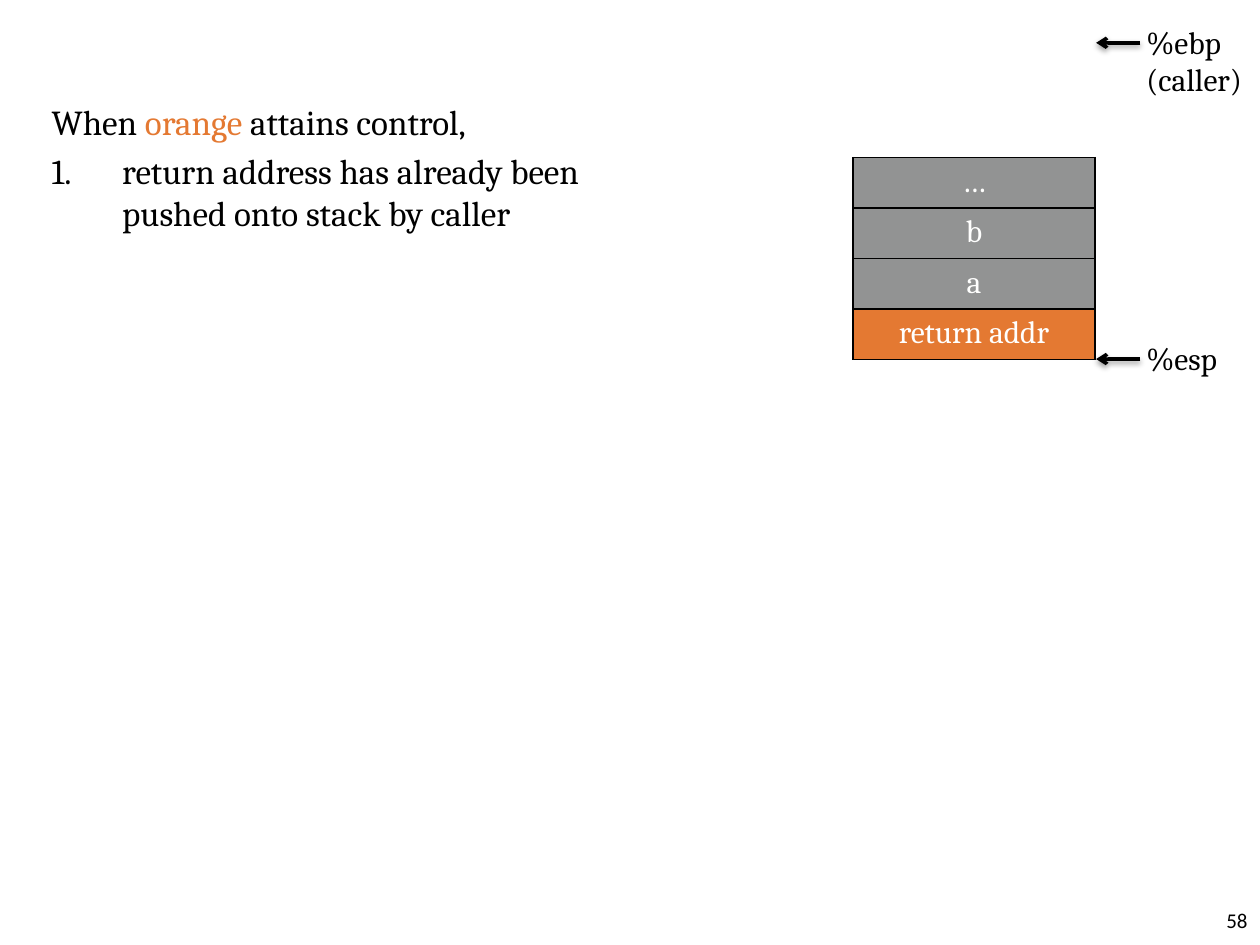
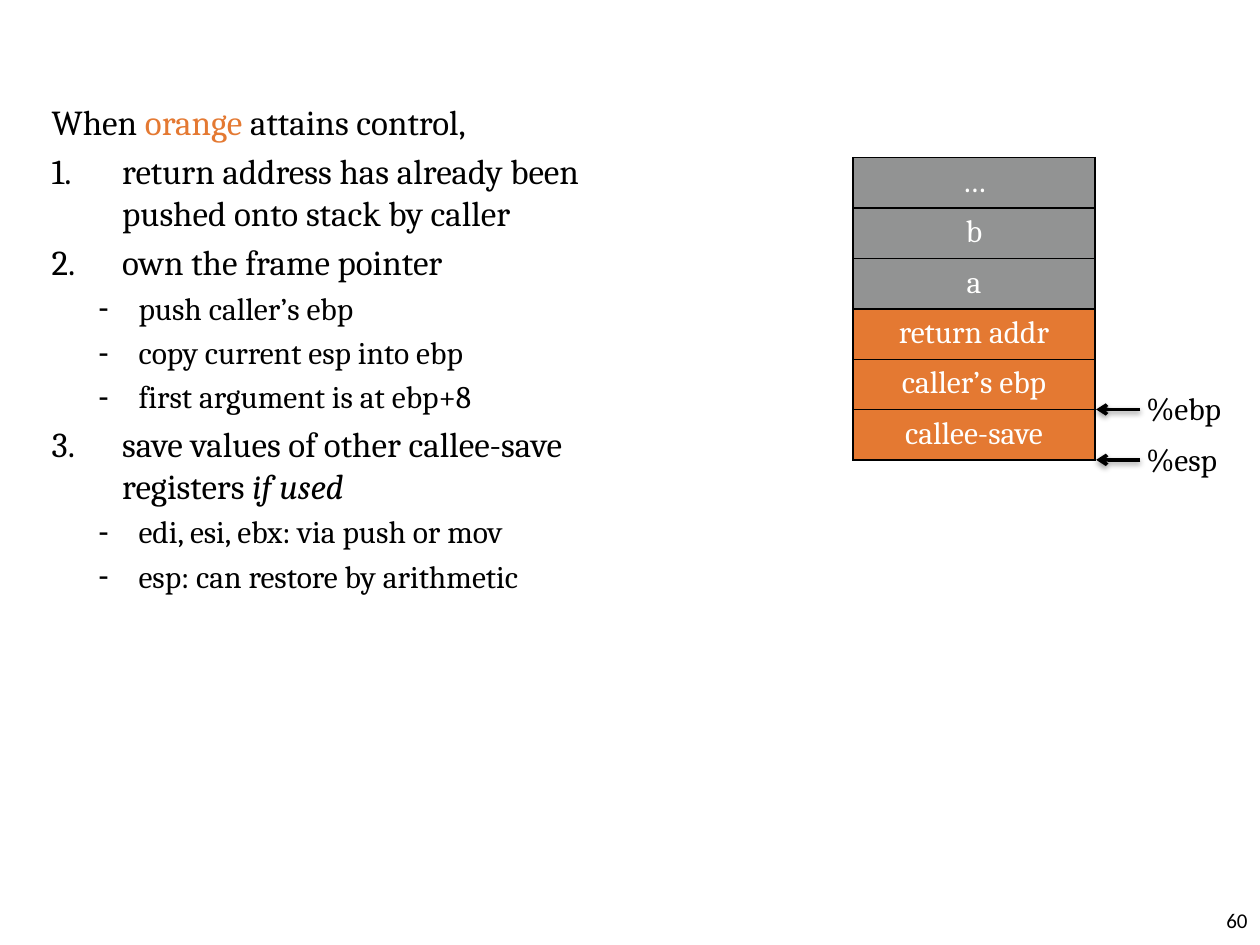
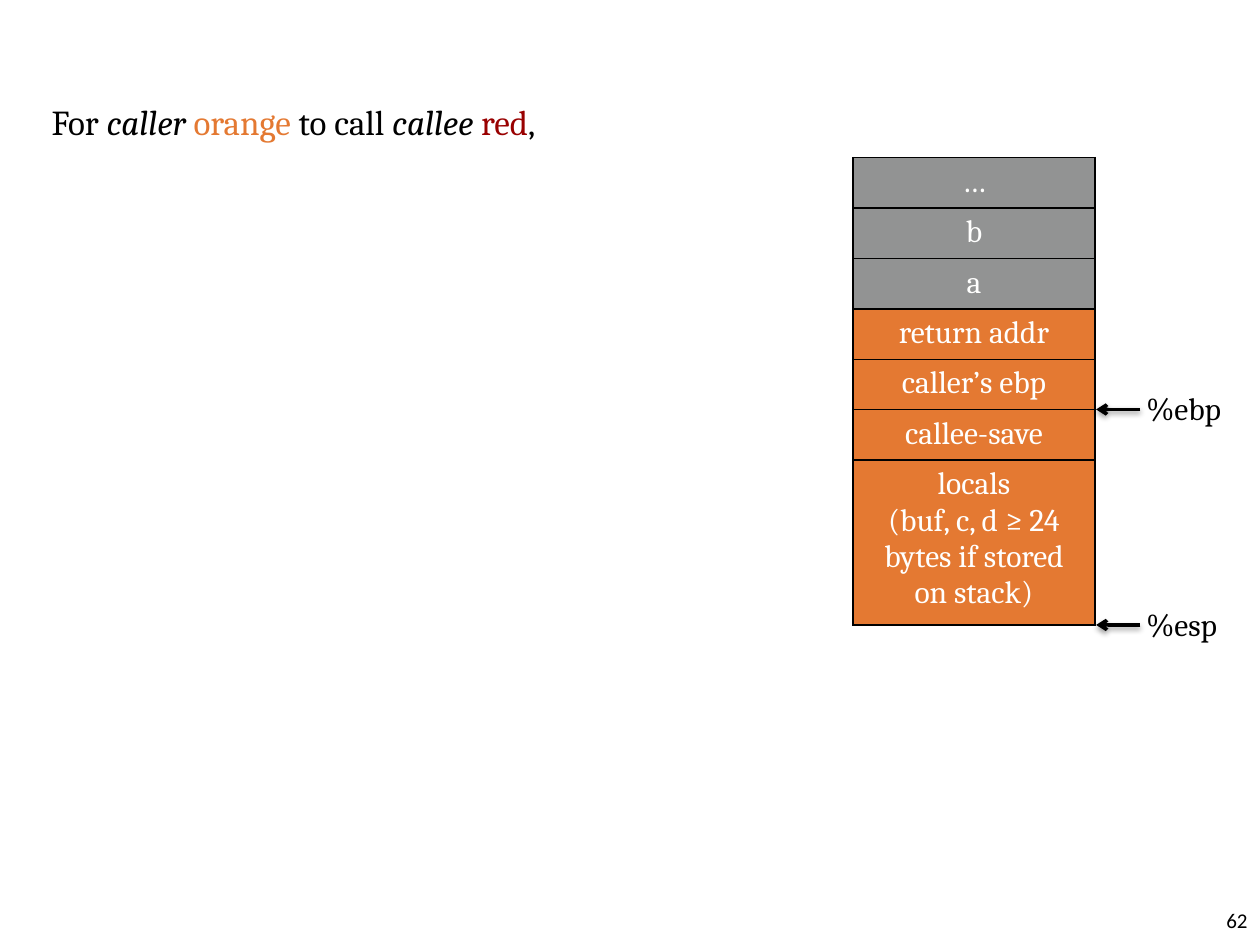
from dataclasses import dataclass
from lxml.etree import SubElement
from pptx import Presentation
from pptx.dml.color import RGBColor
from pptx.enum.shapes import MSO_CONNECTOR as Connector
from pptx.enum.text import MSO_ANCHOR as Anchor, MSO_AUTO_SIZE as AutoSize, PP_ALIGN as Align
from pptx.oxml import parse_xml
from pptx.oxml.ns import nsdecls, qn
from pptx.util import Inches, Pt


@dataclass(frozen=True)
class Theme:
    black: str = "000000"
    white: str = "FFFFFE"
    gray: str = "929393"
    orange: str = "E47932"
    red: str = "990000"
    font: str = "Cambria"
    number_font: str = "Calibri"
    body_size: int = 20
    small_size: int = 18
    number_size: int = 12


@dataclass(frozen=True)
class ListStyle:
    margin: float
    hang: float
    size: int
    level: int = 0
    bullet: tuple = ("buNone", {})


THEME = Theme()
INTRO = ListStyle(0.32, 0.32, THEME.body_size)
STEP = ListStyle(0.56, 0.56, THEME.body_size, 0, ("buAutoNum", {"type": "arabicPeriod"}))
DETAIL = ListStyle(0.69, 0.32, THEME.small_size, 1, ("buChar", {"char": "-"}))

STACK_LEFT, STACK_TOP, STACK_WIDTH = 6.77, 1.25, 1.92
ROW_HEIGHT, LOCALS_HEIGHT = 0.4, 1.31

SHADOW = f"""<a:effectLst {nsdecls("a")}>
  <a:outerShdw blurRad="40000" dist="20000" dir="5400000" rotWithShape="0">
    <a:srgbClr val="000000"><a:alpha val="38000"/></a:srgbClr>
  </a:outerShdw>
</a:effectLst>"""


class StackDeck:
    def __init__(self, theme):
        self.theme = theme
        self.prs = Presentation()
        self.prs.slide_width, self.prs.slide_height = Inches(10), Inches(7.5)
        self.slide = None

    def new_slide(self, number):
        self.slide = self.prs.slides.add_slide(self.prs.slide_layouts[1])
        title = self.slide.shapes.title.element
        title.getparent().remove(title)
        box = self.slide.shapes.add_textbox(Inches(9.33), Inches(7.1), Inches(0.67), Inches(0.4))
        frame = box.text_frame
        frame.word_wrap = True
        frame.vertical_anchor = Anchor.MIDDLE
        frame.text = str(number)
        frame.paragraphs[0].alignment = Align.RIGHT
        self.format_runs(frame, self.theme.number_size, self.theme.black, self.theme.number_font)

    def format_runs(self, frame, size, color, font=None):
        for paragraph in frame.paragraphs:
            for run in paragraph.runs:
                self.format_run(run, size, color, font)

    def format_run(self, run, size, color, font=None):
        run.font.name = font or self.theme.font
        run.font.size = Pt(size)
        run.font.color.rgb = RGBColor.from_string(color)

    def body(self, lines):
        """Each line is a list style followed by strings or (text, color, italic) tuples."""
        body = self.slide.placeholders[1]
        body.left, body.top = Inches(0.31), Inches(0.75)
        body.width, body.height = Inches(4.59), Inches(6.37)
        frame = body.text_frame
        frame.auto_size = AutoSize.NONE
        for index, (style, *parts) in enumerate(lines):
            paragraph = frame.add_paragraph() if index else frame.paragraphs[0]
            properties = paragraph._p.get_or_add_pPr()
            properties.set("marL", str(Inches(style.margin)))
            properties.set("indent", str(-Inches(style.hang)))
            tag, attributes = style.bullet
            SubElement(properties, qn(f"a:{tag}"), attributes)
            paragraph.level = style.level
            paragraph.space_before = Pt(0.2 * style.size if index else 0)
            for part in parts:
                text, color, italic = (part, self.theme.black, False) if isinstance(part, str) else part
                run = paragraph.add_run()
                run.text = text
                self.format_run(run, style.size, color)
                run.font.italic = italic

    def stack(self, rows):
        """Draw (text, fill, height) rows downwards and return the y of each row's lower edge."""
        total = sum(height for *_, height in rows)
        table = self.slide.shapes.add_table(len(rows), 1, Inches(STACK_LEFT), Inches(STACK_TOP),
                                            Inches(STACK_WIDTH), Inches(total)).table
        table.first_row = table.horz_banding = False
        edges, edge = [], STACK_TOP
        for index, (text, fill, height) in enumerate(rows):
            table.rows[index].height = Inches(height)
            cell = table.cell(index, 0)
            cell.text_frame.text = text
            for paragraph in cell.text_frame.paragraphs:
                paragraph.alignment = Align.CENTER
            self.format_runs(cell.text_frame, self.theme.small_size, self.theme.white)
            self.cell_borders(cell)
            cell.fill.solid()
            cell.fill.fore_color.rgb = RGBColor.from_string(fill)
            edge += height
            edges.append(edge)
        return edges

    def cell_borders(self, cell):
        properties = cell._tc.get_or_add_tcPr()
        for side in ("lnL", "lnR", "lnT", "lnB"):
            line = SubElement(properties, qn(f"a:{side}"), w=str(Pt(1)))
            SubElement(SubElement(line, qn("a:solidFill")), qn("a:srgbClr"), val=self.theme.black)

    def pointer(self, label, y, width=0.82, height=0.4):
        group = self.slide.shapes.add_group_shape()
        box = group.shapes.add_textbox(Inches(9), Inches(y - 0.21), Inches(width), Inches(height))
        frame = box.text_frame
        frame.word_wrap = False
        frame.auto_size = AutoSize.SHAPE_TO_FIT_TEXT
        frame.text = label
        self.format_runs(frame, self.theme.small_size, self.theme.black)
        arrow = group.shapes.add_connector(Connector.STRAIGHT, Inches(9.05), Inches(y),
                                           Inches(8.7), Inches(y))
        arrow.line.width = Pt(2)
        arrow.line.color.rgb = RGBColor.from_string(self.theme.black)
        SubElement(arrow.line._get_or_add_ln(), qn("a:tailEnd"), type="arrow")
        arrow._element.spPr.append(parse_xml(SHADOW))


def main():
    deck = StackDeck(THEME)
    orange = ("orange", THEME.orange, False)

    control = [
        (INTRO, "When ", orange, " attains control,"),
        (STEP, "return address has already been pushed onto stack by caller"),
    ]
    prologue = [
        (STEP, "own the frame pointer"),
        (DETAIL, "push caller’s ebp"),
        (DETAIL, "copy current esp into ebp"),
        (DETAIL, "first argument is at ebp+8"),
        (STEP, "save values of other callee-save registers ", ("if used", THEME.black, True)),
        (DETAIL, "edi, esi, ebx: via push or mov"),
        (DETAIL, "esp: can restore by arithmetic"),
    ]
    calling = [(INTRO, "For ", ("caller ", THEME.black, True), orange, " to call ",
                ("callee ", THEME.black, True), ("red", THEME.red, False), ",")]

    entry_rows = [(text, THEME.gray, ROW_HEIGHT) for text in ("…", "b", "a")]
    entry_rows.append(("return addr", THEME.orange, ROW_HEIGHT))
    saved_rows = entry_rows + [(text, THEME.orange, ROW_HEIGHT)
                               for text in ("caller’s ebp", "callee-save")]
    locals_row = ("locals\n(buf, c, d ≥ 24 bytes if stored on stack)", THEME.orange, LOCALS_HEIGHT)

    slides = [
        (58, control, entry_rows),
        (60, control + prologue, saved_rows),
        (62, calling, saved_rows + [locals_row]),
    ]
    for number, lines, rows in slides:
        deck.new_slide(number)
        deck.body(lines)
        edges = deck.stack(rows)
        if rows is entry_rows:
            deck.pointer("%ebp\n(caller)", 0.34, width=0.99, height=0.71)
        else:
            deck.pointer("%ebp", edges[4])
        deck.pointer("%esp", edges[-1])

    deck.prs.save("out.pptx")


if __name__ == "__main__":
    main()
